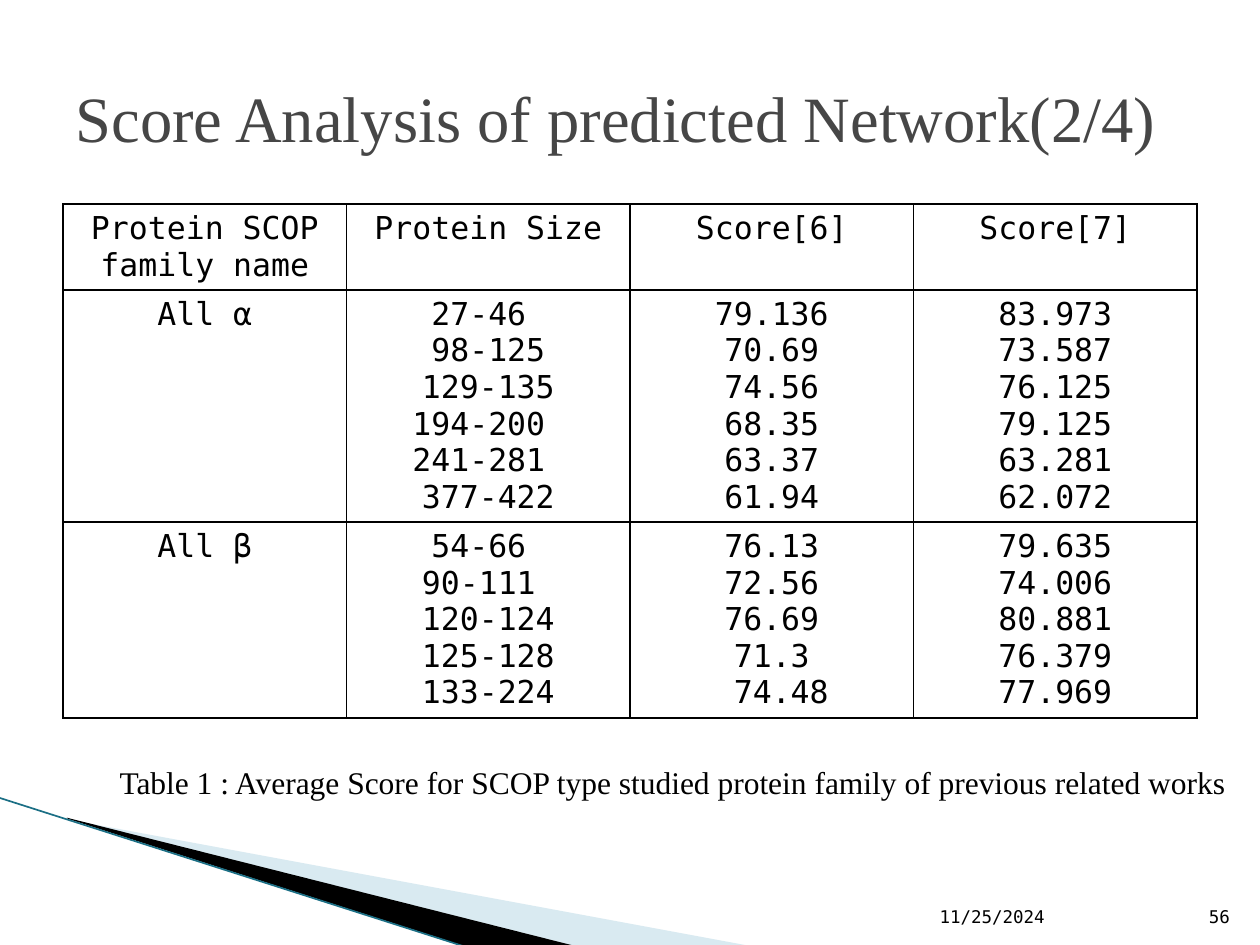
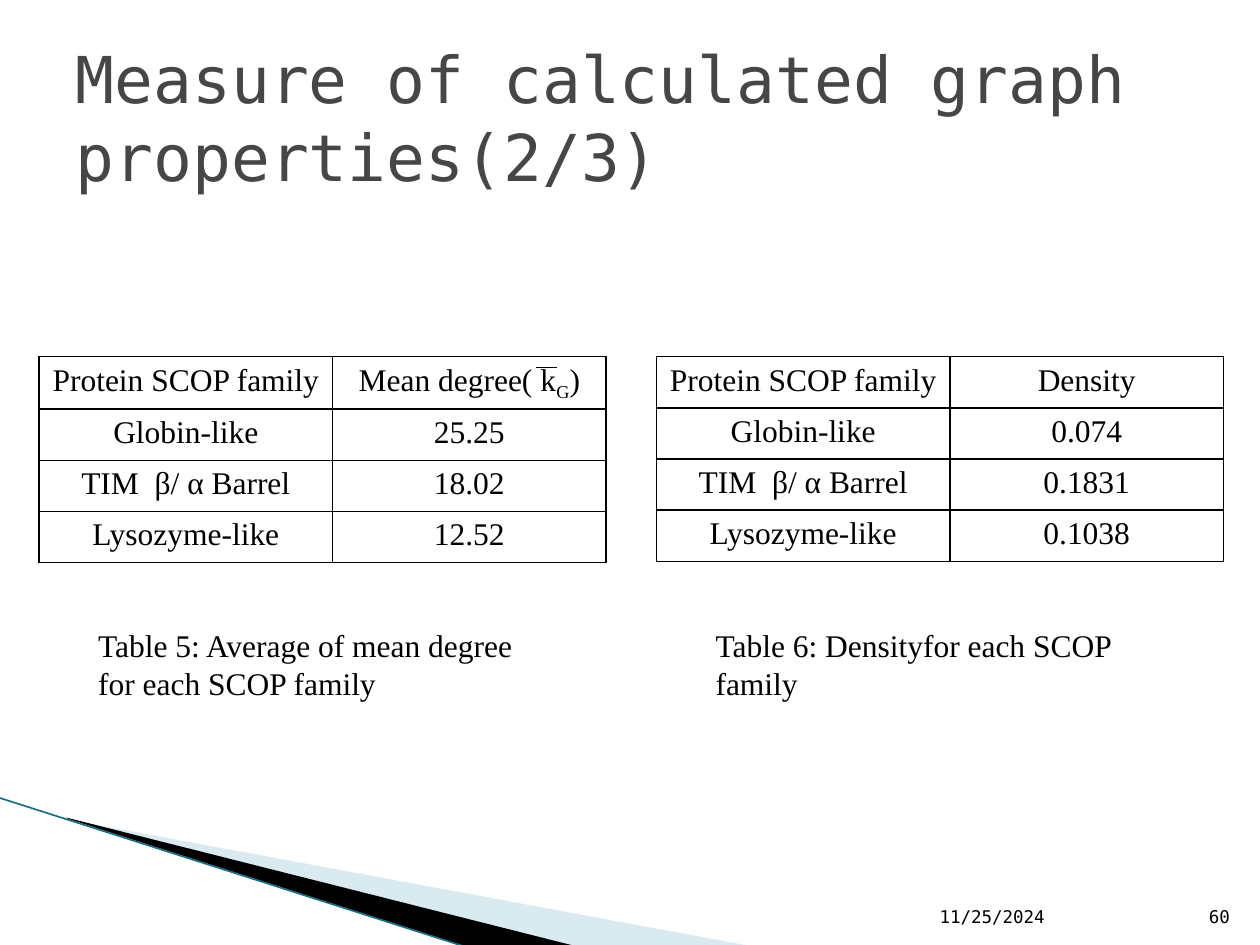
from dataclasses import dataclass

from lxml import etree
from pptx import Presentation
from pptx.dml.color import RGBColor
from pptx.enum.shapes import MSO_CONNECTOR
from pptx.enum.text import MSO_ANCHOR, PP_ALIGN
from pptx.oxml.ns import qn
from pptx.slide import Slide
from pptx.text.text import TextFrame
from pptx.util import Pt

STRAIGHT = MSO_CONNECTOR.STRAIGHT
TOP, MIDDLE, BOTTOM = MSO_ANCHOR.TOP, MSO_ANCHOR.MIDDLE, MSO_ANCHOR.BOTTOM
LEFT, CENTER, RIGHT = PP_ALIGN.LEFT, PP_ALIGN.CENTER, PP_ALIGN.RIGHT

BLACK = RGBColor(0x00, 0x00, 0x00)
TITLE_GREY = RGBColor(0x46, 0x46, 0x46)
PALE_BLUE = RGBColor(0xA0, 0xCB, 0xDC)
TEAL = RGBColor(0x1B, 0x6F, 0x85)

MONO = "DejaVu Sans Mono"
SERIF = "Times New Roman"
DATE = "11/25/2024"


@dataclass(frozen=True)
class Style:
    font: str
    size: float = 18
    color: RGBColor = BLACK
    align: PP_ALIGN = LEFT


@dataclass(frozen=True)
class Box:
    left: float
    top: float
    width: float
    height: float


@dataclass(frozen=True)
class Band:
    points: tuple[tuple[float, float], ...]
    color: RGBColor
    opacity: int = 100


@dataclass(frozen=True)
class TableSpec:
    left: float
    top: float
    columns: tuple[float, ...]
    heights: tuple[float, ...]
    font: str
    rows: tuple[tuple[str, ...], ...]


@dataclass(frozen=True)
class Caption:
    text: str
    box: Box
    wrap: bool = True


TITLE_BOX = Box(36, 21.6, 648, 90)
DATE_BOX = Box(529.9, 504.7, 151.2, 28.8)
NUMBER_BOX = Box(681.1, 504.7, 28.8, 28.8)

BANDS = (
    Band(((39.6, 468.5), (428.4, 540.5), (328.3, 540.5), (39.6, 468)), PALE_BLUE, 40),
    Band(((38.2, 467.3), (329, 540.7), (267.8, 541.4), (38.9, 468)), BLACK),
)

SCORE_TABLE = TableSpec(
    36, 116.6, (162,) * 4, (49.1, 132.7, 111.8), MONO,
    (
        ("Protein SCOP family name", "Protein Size", "Score[6]", "Score[7]"),
        (
            "All α",
            "27-46 \n98-125\n129-135\n194-200 \n241-281 \n377-422",
            "79.136\n70.69\n74.56\n68.35\n63.37\n61.94",
            "83.973\n73.587\n76.125\n79.125\n63.281\n62.072",
        ),
        (
            "All β",
            "54-66 \n90-111 \n120-124\n125-128\n133-224",
            "76.13\n72.56\n76.69\n71.3\n 74.48",
            "79.635\n74.006\n80.881\n76.379\n77.969",
        ),
    ),
)

FAMILIES = ("Globin-like", "TIM  β/ α Barrel", "Lysozyme-like")
LEFT_TABLE, RIGHT_TABLE = 22.3, 375.1


def family_table(left: float, measure: str, values: tuple[str, ...]) -> TableSpec:
    header = ("Protein SCOP family", measure)
    return TableSpec(left, 203.8, (167.8, 156.2), (29.25,) * 4, SERIF,
                     (header, *zip(FAMILIES, values)))


def family_caption(table_left: float, text: str) -> Caption:
    return Caption(text, Box(table_left + 26.7, 354.2, 270, 51.1))


def fill_text(tf: TextFrame, text: str, style: Style) -> None:
    for i, line in enumerate(text.split("\n")):
        p = tf.paragraphs[0] if i == 0 else tf.add_paragraph()
        p.alignment = style.align
        for j, part in enumerate(line.split("_")):
            r = p.add_run()
            r.text = part
            r.font.name = style.font
            r.font.size = Pt(style.size)
            r.font.color.rgb = style.color
            if j % 2:
                r._r.get_or_add_rPr().set("baseline", "-25000")


def place(sp, box: Box) -> None:
    sp.left, sp.top = Pt(box.left), Pt(box.top)
    sp.width, sp.height = Pt(box.width), Pt(box.height)


def add_text(s: Slide, text: str, box: Box, style: Style,
             anchor: MSO_ANCHOR = TOP, wrap: bool = True) -> None:
    sp = s.shapes.add_textbox(0, 0, 0, 0)
    place(sp, box)
    sp.text_frame.word_wrap = wrap
    sp.text_frame.vertical_anchor = anchor
    fill_text(sp.text_frame, text, style)


def add_band(s: Slide, band: Band) -> None:
    start, *rest = [(Pt(x), Pt(y)) for x, y in band.points]
    builder = s.shapes.build_freeform(*start)
    builder.add_line_segments(rest, close=True)
    sp = builder.convert_to_shape()
    sp.shadow.inherit = False
    sp.line.fill.background()
    sp.fill.solid()
    sp.fill.fore_color.rgb = band.color
    if band.opacity < 100:
        color = sp._element.spPr.find(qn("a:solidFill"))[0]
        etree.SubElement(color, qn("a:alpha")).set("val", str(band.opacity * 1000))


def add_line(s: Slide, x1: float, y1: float, x2: float, y2: float,
             color: RGBColor, width: float) -> None:
    line = s.shapes.add_connector(STRAIGHT, Pt(x1), Pt(y1), Pt(x2), Pt(y2))
    line.line.color.rgb = color
    line.line.width = Pt(width)
    etree.SubElement(line._element.spPr, qn("a:effectLst"))


def add_borders(cell) -> None:
    tc_pr = cell._tc.get_or_add_tcPr()
    for i, side in enumerate(("lnL", "lnR", "lnT", "lnB")):
        ln = etree.Element(qn(f"a:{side}"), w=str(Pt(1)))
        fill = etree.SubElement(ln, qn("a:solidFill"))
        etree.SubElement(fill, qn("a:srgbClr"), val=str(BLACK))
        tc_pr.insert(i, ln)


def add_table(s: Slide, spec: TableSpec) -> None:
    frame = s.shapes.add_table(
        len(spec.rows), len(spec.columns), Pt(spec.left), Pt(spec.top),
        Pt(sum(spec.columns)), Pt(sum(spec.heights)))
    table = frame.table
    table.first_row = table.horz_banding = False
    for column, width in zip(table.columns, spec.columns):
        column.width = Pt(width)
    for row, height, texts in zip(table.rows, spec.heights, spec.rows):
        row.height = Pt(height)
        for cell, text in zip(row.cells, texts):
            cell.fill.background()
            add_borders(cell)
            fill_text(cell.text_frame, text, Style(spec.font, align=CENTER))


def add_slide(prs, title: str, title_font: str, number: int,
              tables: tuple[TableSpec, ...], captions: tuple[Caption, ...]) -> Slide:
    s = prs.slides.add_slide(prs.slide_layouts[5])
    for band in BANDS:
        add_band(s, band)
    add_line(s, -0.7, 455.8, 267.1, 541.4, TEAL, 0.95)

    place(s.shapes.title, TITLE_BOX)
    tf = s.shapes.title.text_frame
    tf.word_wrap = True
    tf.vertical_anchor = MIDDLE
    fill_text(tf, title, Style(title_font, 36.9, TITLE_GREY))

    for spec in tables:
        add_table(s, spec)
    for caption in captions:
        add_text(s, caption.text, caption.box, Style(SERIF), wrap=caption.wrap)
    add_text(s, DATE, DATE_BOX, Style(MONO, 10), BOTTOM)
    add_text(s, str(number), NUMBER_BOX, Style(MONO, 10, align=RIGHT), BOTTOM)
    return s


def main() -> None:
    prs = Presentation()
    prs.slide_width, prs.slide_height = Pt(720), Pt(540)

    add_slide(
        prs, "Score Analysis of predicted Network(2/4)", SERIF, 56, (SCORE_TABLE,),
        (Caption("Table 1 : Average Score for SCOP type studied protein family "
                 "of previous related works", Box(61.2, 432.7, 653.8, 28.8), False),))

    s = add_slide(
        prs, "Measure of calculated graph properties(2/3)", MONO, 60,
        (family_table(LEFT_TABLE, "Mean degree( k_G_)", ("25.25", "18.02", "12.52")),
         family_table(RIGHT_TABLE, "Density", ("0.074", "0.1831", "0.1038"))),
        (family_caption(LEFT_TABLE, "Table 5: Average of mean degree for each SCOP family"),
         family_caption(RIGHT_TABLE, "Table 6: Densityfor each SCOP family")))
    add_line(s, 306, 210.2, 318.2, 210.2, BLACK, 0.75)

    prs.save("out.pptx")


if __name__ == "__main__":
    main()
